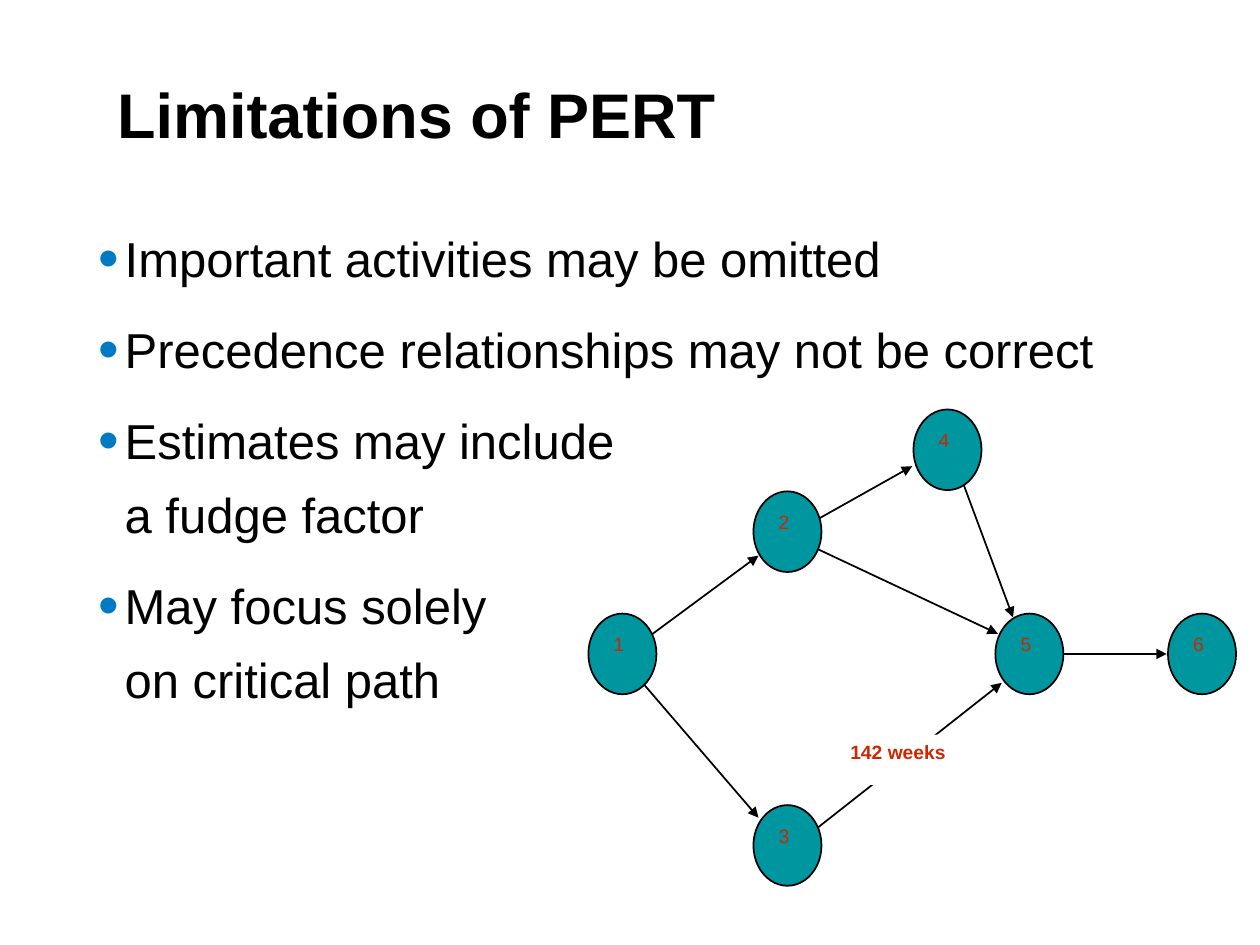
from dataclasses import dataclass

from lxml.etree import SubElement
from pptx import Presentation
from pptx.dml.color import RGBColor as RGB
from pptx.enum.shapes import MSO_CONNECTOR as CONN, MSO_SHAPE as SHAPE
from pptx.enum.text import MSO_ANCHOR as ANCHOR, MSO_AUTO_SIZE as AUTO, PP_ALIGN as ALIGN
from pptx.oxml.ns import qn
from pptx.util import Inches, Pt


@dataclass
class Theme:
    font: str = "Arial"
    ink: RGB = RGB.from_string("000000")
    paper: RGB = RGB.from_string("FFFFFF")
    node: RGB = RGB.from_string("00969F")
    label: RGB = RGB.from_string("CE2700")
    bullet: str = "007AC2"
    title_size: int = 36
    body_size: int = 28
    label_size: int = 11


def place(sp, left, top, width, height):
    sp.left, sp.top = Inches(left), Inches(top)
    sp.width, sp.height = Inches(width), Inches(height)


def style(p, size, color, bold=False):
    p.alignment = ALIGN.LEFT
    for r in p.runs:
        r.font.name = theme.font
        r.font.size = Pt(size)
        r.font.bold = bold
        r.font.color.rgb = color


theme = Theme()
prs = Presentation()
prs.slide_width, prs.slide_height = Inches(10), Inches(7.5)
s = prs.slides.add_slide(prs.slide_layouts[1])

title = s.shapes.title
place(title, 0.83, 0.37, 8.15, 0.88)
tf = title.text_frame
tf.text = "Limitations of PERT"
tf.vertical_anchor = ANCHOR.BOTTOM
tf.auto_size = AUTO.NONE
style(tf.paragraphs[0], theme.title_size, theme.ink, bold=True)

limitations = [
    "Important activities may be omitted",
    "Precedence relationships may not be correct",
    "Estimates may include\va fudge factor",
    "May focus solely\von critical path",
]
body = s.placeholders[1]
place(body, 0.68, 1.65, 8.28, 4.68)
tf = body.text_frame
tf.auto_size = AUTO.NONE
for i, text in enumerate(limitations):
    p = tf.paragraphs[0] if i == 0 else tf.add_paragraph()
    p.text = text
    p.line_spacing = 1.25
    p.space_before = Pt(10 if i else 0)
    pPr = p._p.get_or_add_pPr()
    pPr.set("marL", str(Inches(0.21)))
    pPr.set("indent", str(Inches(-0.21)))
    color = SubElement(pPr, qn("a:buClr"))
    SubElement(color, qn("a:srgbClr"), val=theme.bullet)
    SubElement(pPr, qn("a:buSzPct"), val="120000")
    SubElement(pPr, qn("a:buFont"), typeface=theme.font)
    SubElement(pPr, qn("a:buChar"), char="•")
    style(p, theme.body_size, theme.ink)

arrows = [
    (7.56, 3.61, 8.04, 4.9),
    (6.26, 4.25, 7.92, 5.03),
    (8.16, 5.19, 9.26, 5.19),
    (6.26, 6.75, 7.95, 5.42),
    (4.92, 5.21, 6.02, 6.49),
    (6.26, 4.25, 7.24, 3.7),
    (4.95, 5.2, 6.02, 4.41),
]
for ends in arrows:
    arrow = s.shapes.add_connector(CONN.STRAIGHT, *map(Inches, ends))
    arrow.line.color.rgb = theme.ink
    arrow.line.width = Pt(1)
    SubElement(arrow.line._get_or_add_ln(), qn("a:tailEnd"), type="triangle")
    SubElement(arrow._element.spPr, qn("a:effectLst"))

nodes = [(4.67, 4.87), (5.98, 3.9), (5.98, 6.39), (7.25, 3.25), (7.9, 4.87), (9.27, 4.87)]
for number, (left, top) in enumerate(nodes, 1):
    node = s.shapes.add_shape(SHAPE.OVAL, Inches(left), Inches(top), Inches(0.54), Inches(0.64))
    node.shadow.inherit = False
    node.fill.solid()
    node.fill.fore_color.rgb = theme.node
    node.line.color.rgb = theme.ink
    node.line.width = Pt(1)

    label = s.shapes.add_textbox(Inches(left + 0.12), Inches(top + 0.11), Inches(0.29), Inches(0.38))
    tf = label.text_frame
    tf.text = str(number)
    tf.word_wrap = True
    tf.margin_left = tf.margin_right = Inches(0.08)
    tf.margin_top = tf.margin_bottom = Inches(0.04)
    style(tf.paragraphs[0], theme.label_size, theme.label)

duration = s.shapes.add_shape(SHAPE.RECTANGLE, Inches(6.65), Inches(5.83), Inches(1.43), Inches(0.4))
duration.shadow.inherit = False
duration.fill.solid()
duration.fill.fore_color.rgb = theme.paper
duration.line.fill.background()
tf = duration.text_frame
tf.text = "142 weeks"
tf.word_wrap = True
tf.vertical_anchor = ANCHOR.TOP
style(tf.paragraphs[0], theme.label_size, theme.label, bold=True)

prs.save("out.pptx")
